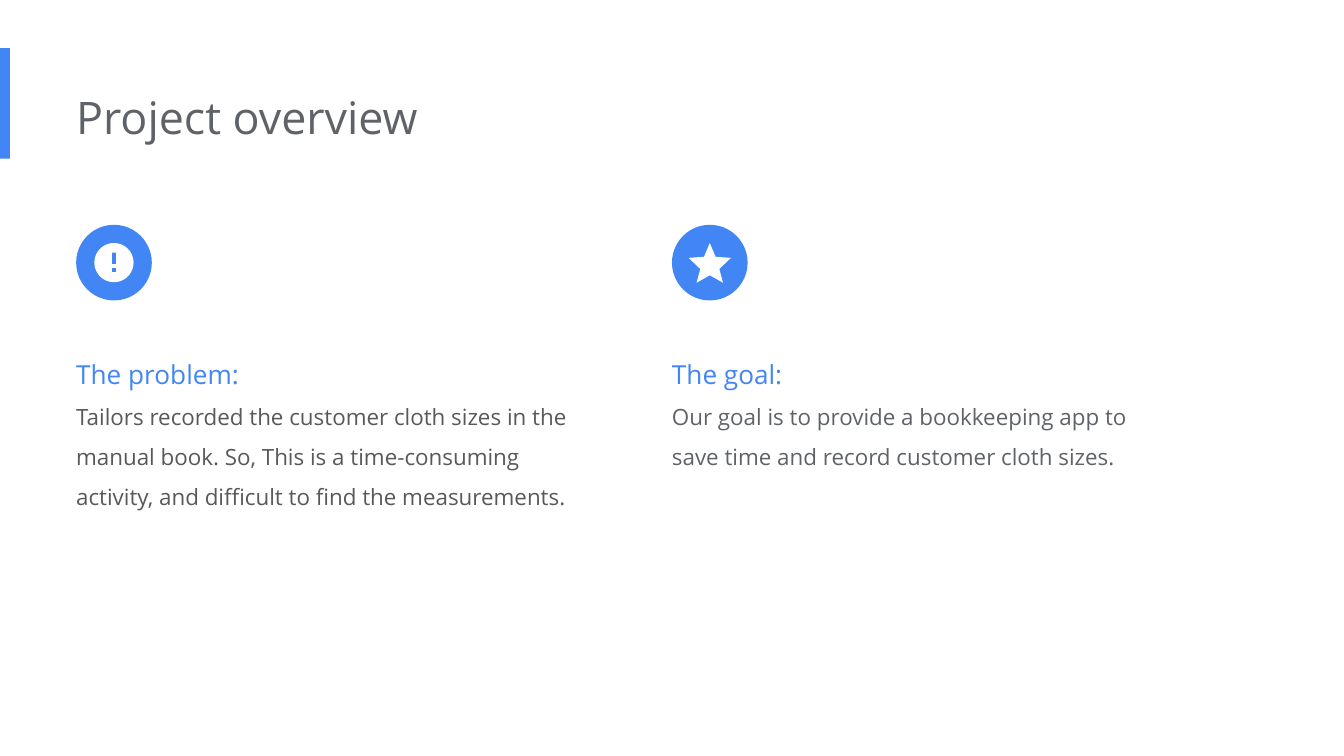
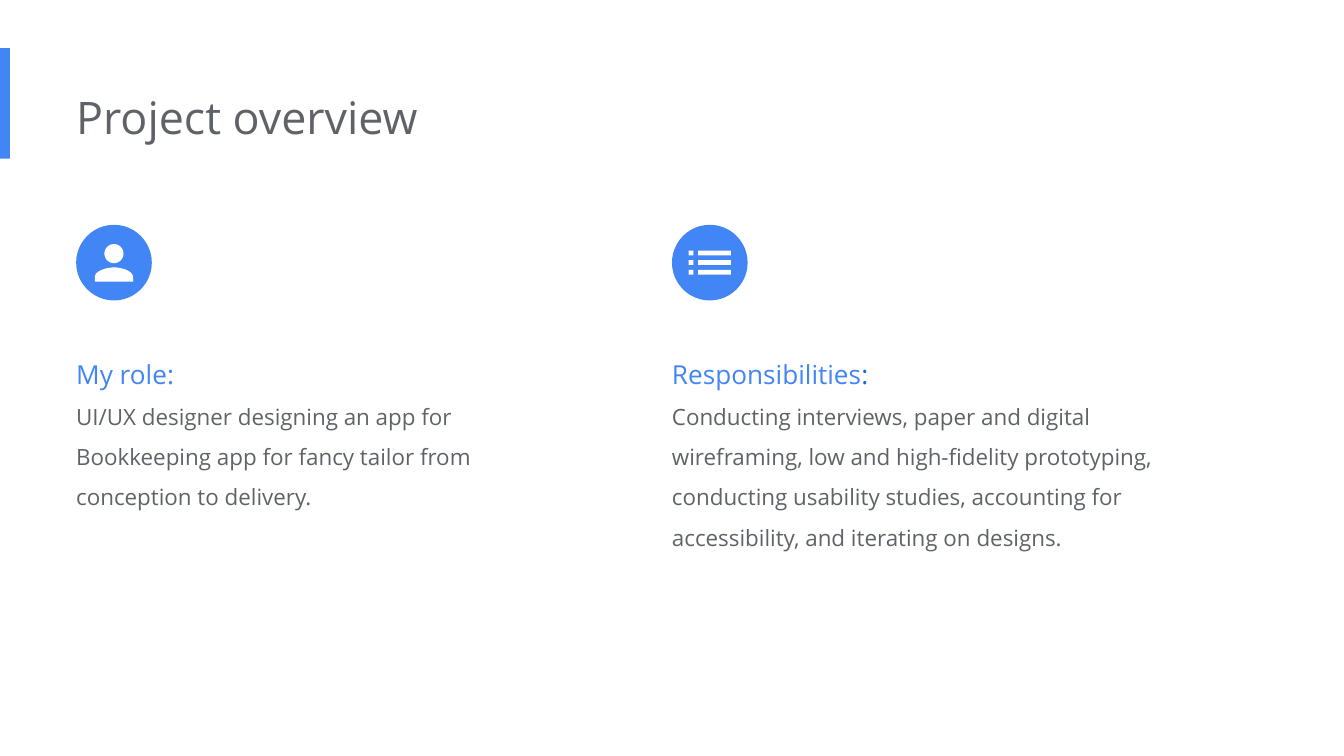
from math import cos, pi, sin

from pptx import Presentation
from pptx.dml.color import RGBColor
from pptx.enum.shapes import MSO_SHAPE
from pptx.enum.text import MSO_AUTO_SIZE
from pptx.util import Cm, Pt

# Content: each column has an icon, heading spans, body, body colour, body lines
TITLE = "Project overview"
PAGES = [
    [
        ("alert", [("The problem:", "blue")],
         "Tailors recorded the customer cloth sizes in the manual book. So, This is "
         "a time-consuming activity, and difficult to find the measurements.",
         "dark", 3),
        ("star", [("The goal:", "blue")],
         "Our goal is to provide a bookkeeping app to save time and record "
         "customer cloth sizes.",
         "grey", 2),
    ],
    [
        ("person", [("My role:", "blue")],
         "UI/UX designer designing an app for Bookkeeping app for fancy tailor "
         "from conception to delivery.",
         "grey", 3),
        ("list", [("Responsibilities", "blue"), (":", "navy")],
         "Conducting interviews, paper and digital wireframing, low and "
         "high-fidelity prototyping, conducting usability studies, accounting for "
         "accessibility, and iterating on designs.",
         "grey", 4),
    ],
]

THEME = {
    "font": "Open Sans",
    "title": 24, "heading": 14, "body": 12,
    "blue": "4285F4", "navy": "1967D2", "grey": "5F6368",
    "dark": "595959", "white": "FFFFFF",
}

# Layout in centimetres
COLUMN_LEFTS = (1.44, 12.7)
COLUMN_WIDTH = 9.58
TEXT_TOP, HEADING_HEIGHT, LINE_HEIGHT = 6.22, 1.42, 0.76
DISC_TOP, DISC_SIZE = 4.25, 1.43
BOX_FORMAT = {
    "word_wrap": True, "auto_size": MSO_AUTO_SIZE.SHAPE_TO_FIT_TEXT,
    "margin_left": 0, "margin_top": Cm(0.25),
    "margin_right": Cm(0.25), "margin_bottom": Cm(0.25),
}


# Icon outlines, in hundredths of a centimetre from the disc centre
def circle(radius, center_y=0, steps=72):
    angles = [2 * pi * step / steps for step in range(steps)]
    return [(radius * cos(a), center_y + radius * sin(a)) for a in angles]


def block(left, top, right, bottom):
    return [(left, top), (right, top), (right, bottom), (left, bottom)]


def mirrored(right_half):
    return right_half + [(-x, y) for x, y in reversed(right_half)]


def curve(points, steps=20):
    """Points along a cubic curve through four control points."""
    weights = [((1 - t) ** 3, 3 * t * (1 - t) ** 2, 3 * t * t * (1 - t), t ** 3)
               for t in (step / steps for step in range(steps + 1))]
    return [tuple(sum(w * p[axis] for w, p in zip(row, points)) for axis in (0, 1))
            for row in weights]


STAR_HALF = [(0, -37), (11, -11), (40, -9), (18, 12), (25, 38), (0, 24)]
SHOULDER = curve([(0, 9), (12, 9), (36, 15), (36, 27)]) + [(36, 36)]
ICONS = {
    "alert": [circle(37), block(-4, -19, 4, 3), block(-4, 10, 4, 18)],
    "star": [mirrored(STAR_HALF)],
    "person": [circle(18, -17), mirrored(SHOULDER)],
    "list": [block(left, y - 4.5, right, y + 4.5)
             for y in (-18, 0, 18) for left, right in ((-40, -31), (-22, 40))],
}


def apply(target, values):
    for name, value in values.items():
        setattr(target, name, value)


def paint(shape, color):
    shape.shadow.inherit = False
    shape.fill.solid()
    shape.fill.fore_color.rgb = RGBColor.from_string(THEME[color])
    shape.line.fill.background()


def add_preset(page, kind, area, color):
    paint(page.shapes.add_shape(kind, *map(Cm, area)), color)


def add_text(page, area, paragraphs):
    """Each paragraph is (size name, line spacing, [(text, color), ...])."""
    frame = page.shapes.add_textbox(*map(Cm, area)).text_frame
    apply(frame, BOX_FORMAT)
    for index, (size, spacing, spans) in enumerate(paragraphs):
        para = frame.add_paragraph() if index else frame.paragraphs[0]
        para.line_spacing = spacing
        for text, color in spans:
            span = para.add_run()
            span.text = text
            apply(span.font, {"name": THEME["font"], "size": Pt(THEME[size])})
            span.font.color.rgb = RGBColor.from_string(THEME[color])


def add_icon(page, name, left):
    add_preset(page, MSO_SHAPE.OVAL, (left, DISC_TOP, DISC_SIZE, DISC_SIZE), "blue")
    outlines = [[(Cm(x / 100), Cm(y / 100)) for x, y in outline]
                for outline in ICONS[name]]
    builder = page.shapes.build_freeform(*outlines[0][0])
    for index, outline in enumerate(outlines):
        if index:
            builder.move_to(*outline[0])
        builder.add_line_segments(outline[1:], close=True)
    center = Cm(left + DISC_SIZE / 2), Cm(DISC_TOP + DISC_SIZE / 2)
    paint(builder.convert_to_shape(*center), "white")


def add_column(page, left, column):
    icon, heading, body, body_color, lines = column
    height = HEADING_HEIGHT + LINE_HEIGHT * lines
    add_text(page, (left, TEXT_TOP, COLUMN_WIDTH, height),
             [("heading", 1.5, heading), ("body", 1.5, [(body, body_color)])])
    add_icon(page, icon, left)


def main():
    deck = Presentation()
    apply(deck, {"slide_width": Cm(25.4), "slide_height": Cm(14.29)})
    for columns in PAGES:
        page = deck.slides.add_slide(deck.slide_layouts[6])
        # Shared accent bar and title
        add_preset(page, MSO_SHAPE.RECTANGLE, (0, 0.91, 0.19, 2.09), "blue")
        add_text(page, (COLUMN_LEFTS[0], 1.45, 17.1, 1.55),
                 [("title", 1.0, [(TITLE, "grey")])])
        # Two columns
        for left, column in zip(COLUMN_LEFTS, columns):
            add_column(page, left, column)
    deck.save("out.pptx")


if __name__ == "__main__":
    main()
